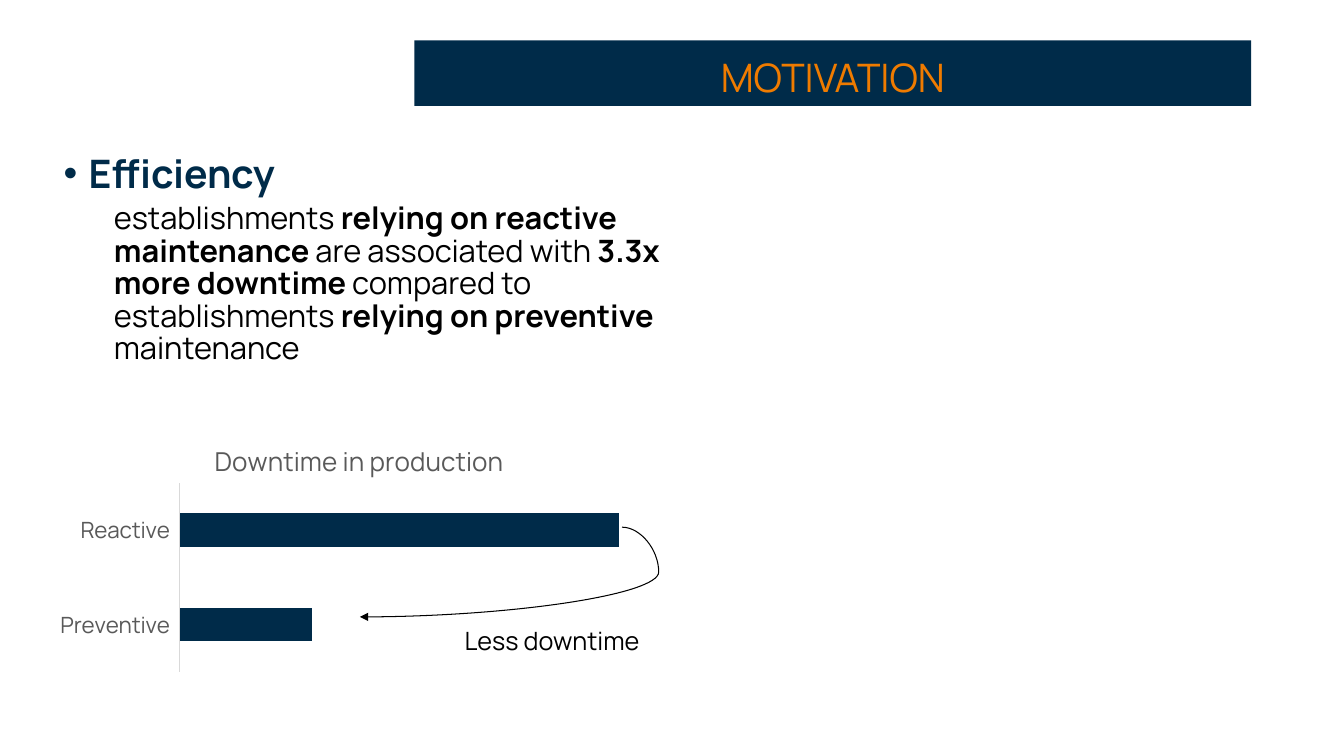
from lxml import etree
from pptx import Presentation
from pptx.chart.data import CategoryChartData
from pptx.dml.color import RGBColor
from pptx.enum.chart import XL_CHART_TYPE, XL_TICK_LABEL_POSITION, XL_TICK_MARK
from pptx.enum.shapes import MSO_CONNECTOR
from pptx.enum.text import MSO_ANCHOR, MSO_AUTO_SIZE, PP_ALIGN
from pptx.oxml.ns import qn
from pptx.util import Inches, Pt

FONT = "Manrope"
COLORS = {"navy": "002B49", "orange": "EF7B00", "black": "000000",
          "gray": "595959", "light": "D9D9D9"}


def color(name):
    return RGBColor.from_string(COLORS[name])


def style(font, size, name, bold=False):
    font.name, font.size, font.bold = FONT, Pt(size), bold
    font.color.rgb = color(name)


def place(shape, box):
    shape.left, shape.top, shape.width, shape.height = map(Inches, box)


def set_bullet(para, left, indent, symbol=None):
    props = para._p.get_or_add_pPr()
    props.set("marL", str(Inches(left)))
    props.set("indent", str(Inches(indent)))
    if symbol:
        face = etree.SubElement(props, qn("a:buFont"))
        face.set("typeface", "Arial")
        etree.SubElement(props, qn("a:buChar")).set("char", symbol)
    else:
        etree.SubElement(props, qn("a:buNone"))


def add_title(page, box):
    title = page.shapes.title
    place(title, box)
    title.fill.solid()
    title.fill.fore_color.rgb = color("navy")
    frame = title.text_frame
    frame.text = "MOTIVATION"
    frame.auto_size = MSO_AUTO_SIZE.NONE
    frame.vertical_anchor = MSO_ANCHOR.BOTTOM
    para = frame.paragraphs[0]
    para.alignment = PP_ALIGN.CENTER
    para.line_spacing = 0.9
    style(para.runs[0].font, 28, "orange")


def add_body(page, box):
    body = page.placeholders[1]
    place(body, box)
    frame = body.text_frame
    frame.text = "Efficiency"
    frame.auto_size = MSO_AUTO_SIZE.NONE
    heading = frame.paragraphs[0]
    heading.line_spacing = 0.88
    heading.space_before = Pt(0)
    set_bullet(heading, 0.25, -0.25, "•")
    style(heading.runs[0].font, 28, "navy", True)

    detail = frame.add_paragraph()
    detail.level = 1
    detail.line_spacing = 0.88
    detail.space_before = Pt(5)
    set_bullet(detail, 0.5, 0)
    # Plain and bold spans alternate
    spans = ["establishments ", "relying on reactive maintenance",
             " are associated with ", "3.3x more downtime ",
             "compared to establishments ", "relying on preventive ",
             "maintenance"]
    for index, text in enumerate(spans):
        span = detail.add_run()
        span.text = text
        style(span.font, 22, "black", index % 2 == 1)


def set_layout(parent, before, **values):
    """Place a chart part by fractions of the chart area."""
    old = parent.find(qn("c:layout"))
    if old is not None:
        parent.remove(old)
    layout = parent.makeelement(qn("c:layout"), {})
    manual = etree.SubElement(layout, qn("c:manualLayout"))
    for tag, value in values.items():
        etree.SubElement(manual, qn("c:" + tag)).set("val", str(value))
    parent.find(qn(before)).addprevious(layout)


def add_downtime_chart(page, box):
    data = CategoryChartData()
    data.categories = ["Preventive", "Reactive"]
    data.add_series("Series 1", (30, 100))
    frame = page.shapes.add_chart(XL_CHART_TYPE.BAR_CLUSTERED,
                                  *map(Inches, box), data)
    chart = frame.chart
    chart.has_legend = False
    style(chart.font, 10, "black")

    # Title
    chart.has_title = True
    title = chart.chart_title
    title.text_frame.text = "Downtime in production"
    style(title.text_frame.paragraphs[0].runs[0].font, 18.6, "gray")
    title.include_in_layout = False
    set_layout(title._element, "c:overlay",
               xMode="edge", yMode="edge", x=0.26, y=0.08)

    # Bars
    plot = chart.plots[0]
    plot.gap_width = 182
    plot.vary_by_categories = False
    fill = plot.series[0].format.fill
    fill.solid()
    fill.fore_color.rgb = color("navy")
    set_layout(chart._chartSpace.chart.plotArea, "c:barChart",
               layoutTarget="inner", xMode="edge", yMode="edge",
               x=0.21, y=0.26, w=0.73, h=0.72)

    # Axes
    names = chart.category_axis
    names.has_major_gridlines = False
    names.major_tick_mark = XL_TICK_MARK.NONE
    names.tick_label_position = XL_TICK_LABEL_POSITION.LOW
    style(names.tick_labels.font, 16, "gray")
    names.format.line.color.rgb = color("light")
    names.format.line.width = Pt(0.75)
    values = chart.value_axis
    values.minimum_scale, values.maximum_scale = 0, 100
    values.has_major_gridlines = False
    values.visible = False


def add_curved_arrow(page, start, end, bend):
    arrow = page.shapes.add_connector(MSO_CONNECTOR.CURVE,
                                      *map(Inches, start + end))
    arrow.line.color.rgb = color("black")
    arrow.line.width = Pt(0.75)
    props = arrow._element.spPr
    etree.SubElement(props, qn("a:effectLst"))
    etree.SubElement(props.find(qn("a:ln")), qn("a:tailEnd")).set("type", "triangle")
    guide = etree.SubElement(props.find(qn("a:prstGeom")).find(qn("a:avLst")), qn("a:gd"))
    guide.set("name", "adj1")
    guide.set("fmla", f"val {round(bend * 100000)}")


def add_label(page, box):
    frame = page.shapes.add_textbox(*map(Inches, box)).text_frame
    frame.word_wrap = True
    frame.text = "Less downtime"
    style(frame.paragraphs[0].runs[0].font, 18, "black")


def add_downtime_region(page, left, top):
    add_downtime_chart(page, (left, top, 5.97, 2.61))
    add_curved_arrow(page, (left + 5.64, top + 1.12),
                     (left + 3.04, top + 2.01), -0.14)
    add_label(page, (left + 3.98, top + 2.04, 2.32, 0.4))


def main():
    deck = Presentation()
    deck.slide_width, deck.slide_height = Inches(13.33), Inches(7.5)
    page = deck.slides.add_slide(deck.slide_layouts[1])
    add_title(page, (4.11, 0.4, 8.3, 0.65))
    add_body(page, (0.53, 1.49, 6.13, 2.71))
    add_downtime_region(page, 0.53, 4.11)
    deck.save("out.pptx")


if __name__ == "__main__":
    main()
